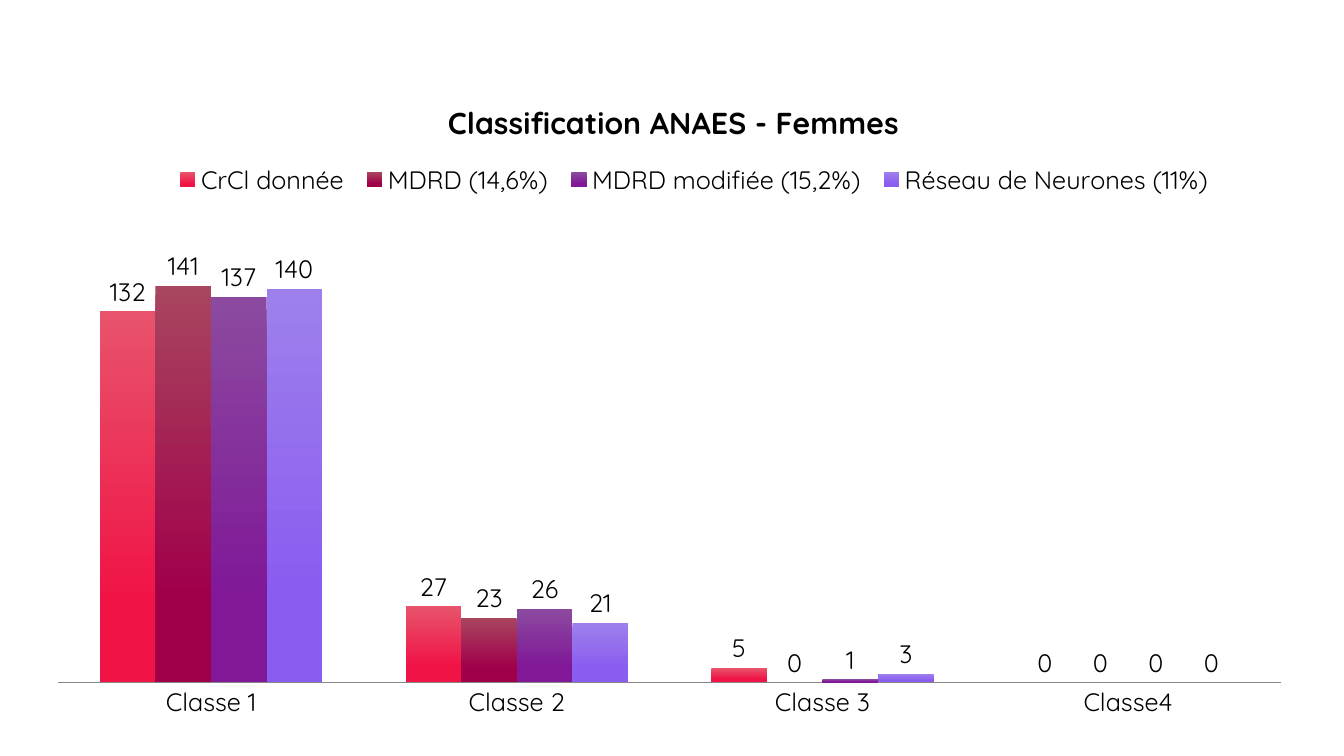
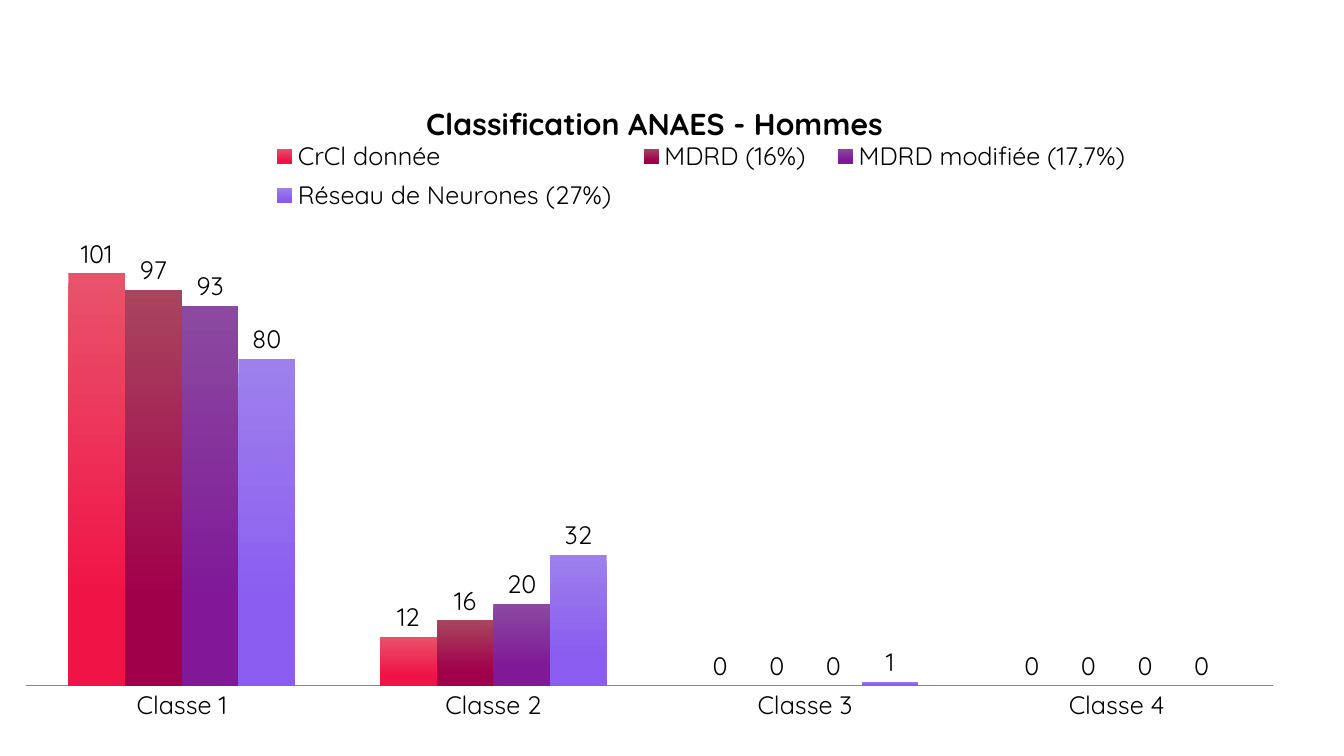
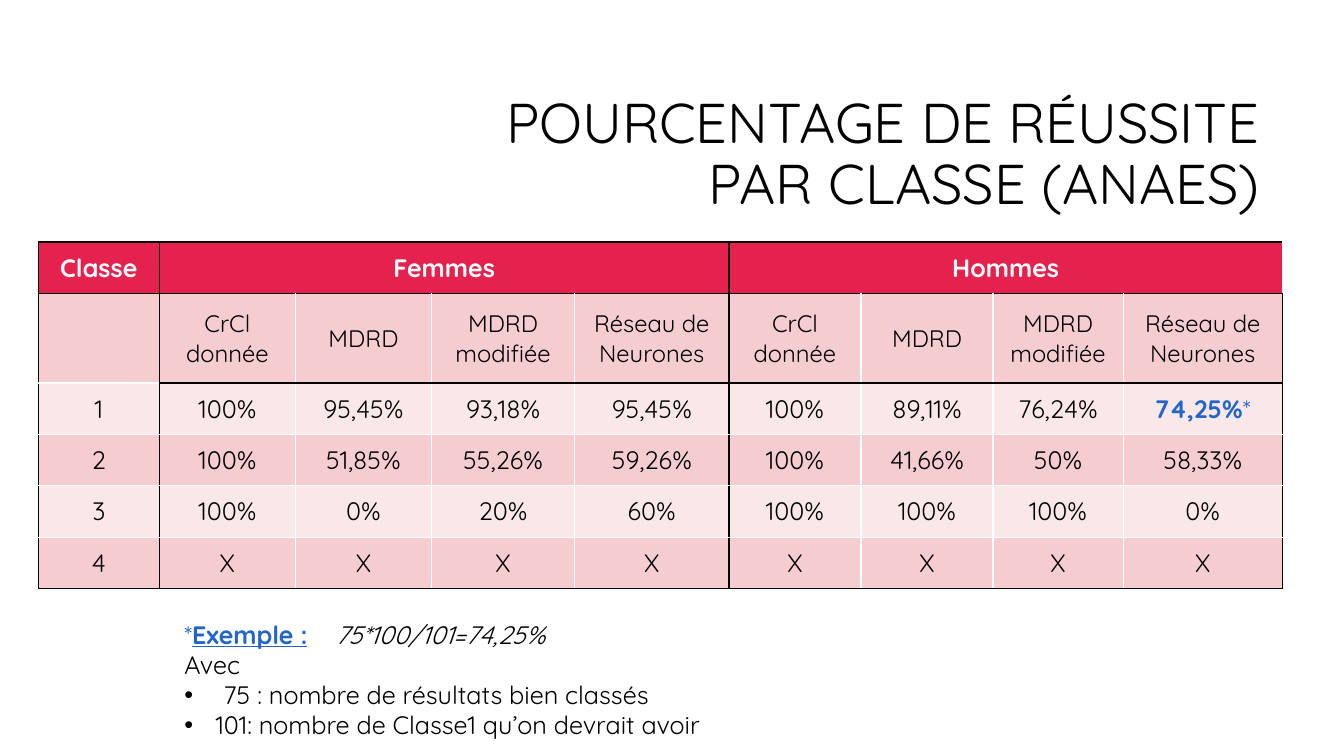
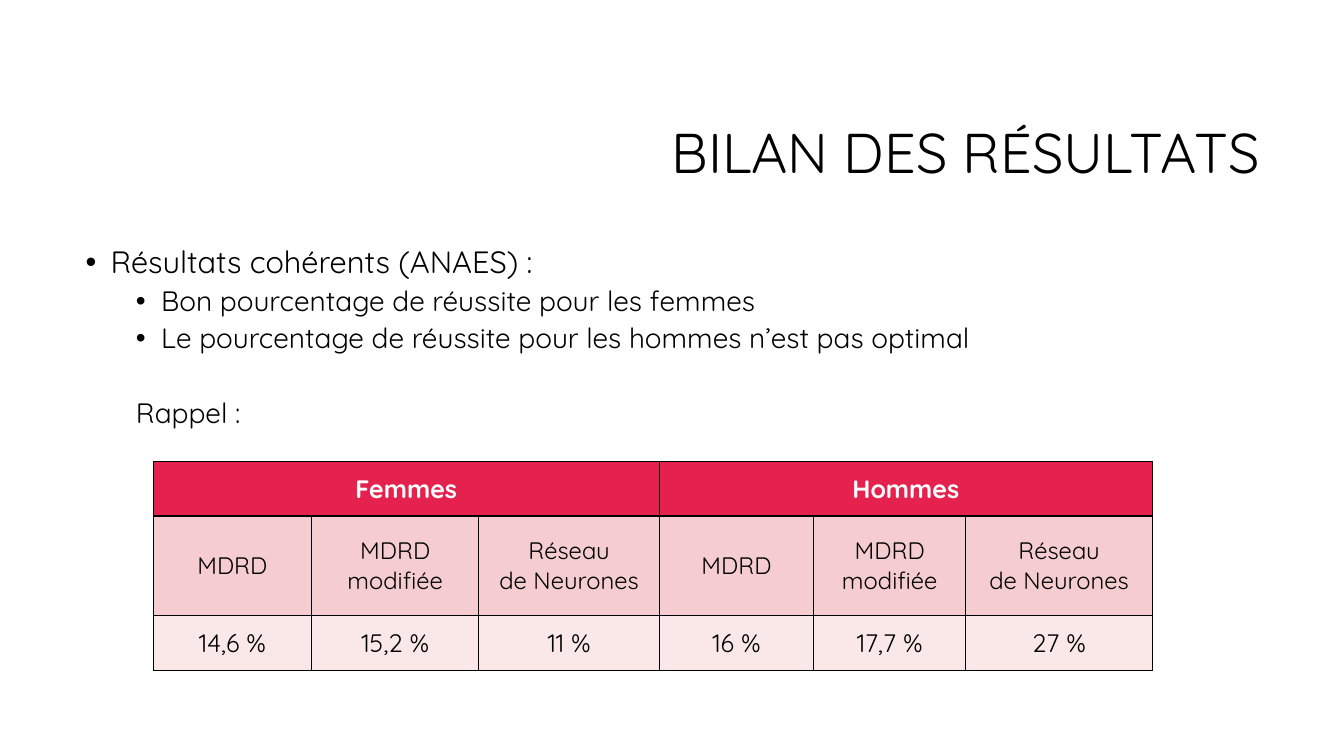
from pptx import Presentation
from pptx.chart.data import CategoryChartData
from pptx.dml.color import RGBColor
from pptx.enum.chart import XL_CHART_TYPE, XL_LABEL_POSITION, XL_LEGEND_POSITION, XL_TICK_MARK
from pptx.enum.text import MSO_ANCHOR, PP_ALIGN
from pptx.oxml import parse_xml
from pptx.oxml.ns import nsdecls, qn
from pptx.util import Inches, Pt

COLUMNS = XL_CHART_TYPE.COLUMN_CLUSTERED
ABOVE_BAR = XL_LABEL_POSITION.OUTSIDE_END
LEGEND_TOP = XL_LEGEND_POSITION.TOP
NO_TICK = XL_TICK_MARK.NONE
MIDDLE = MSO_ANCHOR.MIDDLE
CENTER, LEFT, RIGHT = PP_ALIGN.CENTER, PP_ALIGN.LEFT, PP_ALIGN.RIGHT

FONT = "Quicksand"
COLORS = {
    "text": "000000", "white": "FFFFFF", "blue": "2365C9", "axis": "868686",
    "header": "E5224E", "band_dark": "F5CDD0", "band_light": "FAE8E9",
}
# Top and bottom colour of each series
BAR_GRADIENTS = [("E8536B", "F01446"), ("A8455F", "A0004A"),
                 ("8B4A9F", "801898"), ("9D80EC", "8A5CF0")]

# Boxes inside a chart are fractions of the chart: x, y, width, height
CHARTS = [
    {
        "title": "Classification ANAES - Femmes",
        "at": (0.39, 0.61, 12.49, 6.71),
        "title_at": (0.32, 0.05), "legend_at": (0.1, 0.14, 0.84, 0.07),
        "plot_at": (0.015, 0.253, 0.971, 0.665), "max": 160,
        "categories": ["Classe 1", "Classe 2", "Classe 3", "Classe4"],
        "series": [("CrCl donnée", (132, 27, 5, 0)),
                   ("MDRD (14,6%)", (141, 23, 0, 0)),
                   ("MDRD modifiée (15,2%)", (137, 26, 1, 0)),
                   ("Réseau de Neurones (11%)", (140, 21, 3, 0))],
    },
    {
        "title": "Classification ANAES - Hommes",
        "at": (0, 0.65, 12.88, 6.63),
        "title_at": (0.324, 0.045), "legend_at": (0.195, 0.1, 0.69, 0.13),
        "plot_at": (0.02, 0.195, 0.96, 0.733), "max": 120,
        "categories": ["Classe 1", "Classe 2", "Classe 3", "Classe 4"],
        "series": [("CrCl donnée", (101, 12, 0, 0)),
                   ("MDRD (16%)", (97, 16, 0, 0)),
                   ("MDRD modifiée (17,7%)", (93, 20, 0, 0)),
                   ("Réseau de Neurones (27%)", (80, 32, 1, 0))],
    },
]

METHODS = ["CrCl donnée", "MDRD", "MDRD modifiée", "Réseau de Neurones"]
SUCCESS = {
    "at": (0.38, 2.4),
    "cols": [1.2, 1.35, 1.35, 1.42, 1.53, 1.31, 1.31, 1.29, 1.58],
    "heights": [0.51, 0.89, 0.51, 0.51, 0.51, 0.51],
    "spans": [(1, 4), (5, 8)],
    "rows": [
        ["Classe", "Femmes", "", "", "", "Hommes", "", "", ""],
        [""] + METHODS * 2,
        ["1", "100%", "95,45%", "93,18%", "95,45%", "100%", "89,11%", "76,24%", "74,25%*"],
        ["2", "100%", "51,85%", "55,26%", "59,26%", "100%", "41,66%", "50%", "58,33%"],
        ["3", "100%", "0%", "20%", "60%", "100%", "100%", "100%", "0%"],
        ["4"] + ["X"] * 8,
    ],
}
SUMMARY_METHODS = ["MDRD", "MDRD modifiée", "Réseau\nde Neurones"]
SUMMARY = {
    "at": (1.52, 4.58),
    "cols": [1.57, 1.66, 1.79, 1.53, 1.51, 1.85],
    "heights": [0.54, 0.99, 0.54],
    "spans": [(0, 2), (3, 5)],
    "rows": [
        ["Femmes", "", "", "Hommes", "", ""],
        SUMMARY_METHODS * 2,
        ["14,6 %", "15,2 %", "11 %", "16 %", "17,7 %", "27 %"],
    ],
}

# Paragraphs: runs as (text, style), then layout options
EXAMPLE = [
    ([("*", {"color": "blue"}), ("Exemple :", {"color": "blue", "bold": True, "underline": True}),
      ("\t", {}), ("75*100/101=74,25%", {"italic": True})], {"tab": 1.45}),
    ([("Avec", {})], {}),
    ([("75 : nombre de résultats bien classés", {})], {"left": 0.39, "hang": 0.39}),
    ([("101: nombre de Classe1 qu’on devrait avoir", {})], {"left": 0.31, "hang": 0.31}),
]
FINDINGS = [
    ([("Résultats cohérents (ANAES) :", {"size": 22})], {"left": 0.25, "hang": 0.25, "spacing": 0.9}),
    ([("Bon pourcentage de réussite pour les femmes", {"size": 20})],
     {"left": 0.75, "hang": 0.25, "spacing": 0.9, "before": 5}),
    ([("Le pourcentage de réussite pour les hommes n’est pas optimal", {"size": 20})],
     {"left": 0.75, "hang": 0.25, "spacing": 0.9, "before": 5}),
    ([("Rappel :", {"size": 20})], {"left": 0.5, "spacing": 0.9, "before": 32}),
]


def rgb(name):
    return RGBColor.from_string(COLORS.get(name, name))


def style(font, size=18, color="text", bold=False, italic=False, underline=False):
    font.name, font.size = FONT, Pt(size)
    font.bold, font.italic, font.underline = bold, italic, underline
    font.color.rgb = rgb(color)


def fill_paragraph(p, runs, left=0, hang=0, tab=None, spacing=None, before=0, align=LEFT):
    """Write the runs; a hanging indent brings a bullet with it."""
    pPr = p._p.get_or_add_pPr()
    pPr.set("marL", str(Inches(left)))
    pPr.set("indent", str(-Inches(hang)))
    if hang:
        pPr.append(parse_xml(f'<a:buFont {nsdecls("a")} typeface="Arial"/>'))
        pPr.append(parse_xml(f'<a:buChar {nsdecls("a")} char="•"/>'))
    if tab:
        pPr.append(parse_xml(
            f'<a:tabLst {nsdecls("a")}><a:tab pos="{Inches(tab)}" algn="l"/></a:tabLst>'))
    p.alignment, p.space_before = align, Pt(before)
    if spacing:
        p.line_spacing = spacing
    for text, look in runs:
        r = p.add_run()
        r.text = text
        style(r.font, **look)


def add_text(s, at, paragraphs, anchor=None):
    tf = s.shapes.add_textbox(*map(Inches, at)).text_frame
    tf.word_wrap = True
    if anchor is not None:
        tf.vertical_anchor = anchor
    for i, (runs, options) in enumerate(paragraphs):
        fill_paragraph(tf.add_paragraph() if i else tf.paragraphs[0], runs, **options)


def add_title(s, text):
    add_text(s, (3.17, 0.84, 9.42, 1.41),
             [([(line, {"size": 40})], {"align": RIGHT, "spacing": 0.9})
              for line in text.split("\n")], MIDDLE)


def place(part, box, inner=False):
    """Give a chart part a manual layout, as fractions of the chart."""
    for old in part.findall(qn("c:layout")):
        part.remove(old)
    target = '<c:layoutTarget val="inner"/>' if inner else ""
    names = ("x", "y", "w", "h")
    modes = "".join(f'<c:{n}Mode val="edge"/>' for n in names[:2])
    sizes = "".join(f'<c:{n} val="{v}"/>' for n, v in zip(names, box))
    layout = parse_xml(f'<c:layout {nsdecls("c")}><c:manualLayout>{target}{modes}{sizes}'
                       '</c:manualLayout></c:layout>')
    overlay = part.find(qn("c:overlay"))
    if overlay is None:
        part.insert(0, layout)
    else:
        overlay.addprevious(layout)


def add_class_chart(s, spec):
    data = CategoryChartData()
    data.categories = spec["categories"]
    for name, values in spec["series"]:
        data.add_series(name, values)
    chart = s.shapes.add_chart(COLUMNS, *map(Inches, spec["at"]), data).chart
    style(chart.font)

    chart.has_title = True
    p = chart.chart_title.text_frame.paragraphs[0]
    p.text = spec["title"]
    style(p.runs[0].font, size=21.6, bold=True)
    chart.has_legend = True
    chart.legend.position = LEGEND_TOP
    chart.legend.include_in_layout = False
    style(chart.legend.font)

    chart.value_axis.visible = False
    chart.value_axis.has_major_gridlines = False
    chart.value_axis.minimum_scale = 0
    chart.value_axis.maximum_scale = spec["max"]
    chart.category_axis.major_tick_mark = NO_TICK
    chart.category_axis.format.line.color.rgb = rgb("axis")

    plot = chart.plots[0]
    plot.gap_width, plot.overlap, plot.vary_by_categories = 150, 0, False
    plot.has_data_labels = True
    plot.data_labels.show_value = True
    plot.data_labels.position = ABOVE_BAR
    style(plot.data_labels.font)
    for series, gradient in zip(plot.series, BAR_GRADIENTS):
        series.invert_if_negative = False
        fill = series.format.fill
        fill.gradient()
        fill.gradient_angle = 270
        for stop, color, position in zip(fill.gradient_stops, gradient, (0, 0.78)):
            stop.color.rgb, stop.position = rgb(color), position

    place(chart.chart_title._element, spec["title_at"])
    place(chart.legend._element, spec["legend_at"])
    place(chart._chartSpace.find(".//" + qn("c:plotArea")), spec["plot_at"], inner=True)


def set_borders(cell, colors):
    """Colours come in the order left, right, top, bottom."""
    tcPr = cell._tc.get_or_add_tcPr()
    for i, (side, color) in enumerate(zip("LRTB", colors)):
        tcPr.insert(i, parse_xml(
            f'<a:ln{side} {nsdecls("a")} w="{Pt(1)}"><a:solidFill>'
            f'<a:srgbClr val="{COLORS[color]}"/></a:solidFill></a:ln{side}>'))


def all_dark(r, c):
    return ["text"] * 4


def grouped(r, c):
    """Dark lines around the column groups and the two header rows, white ones inside."""
    def below(row):
        return row in (0, 1, 6) or (row == 2 and c > 0)
    dark = (c in (0, 1, 5), c in (0, 4, 8), below(r), below(r + 1))
    return ["text" if d else "white" for d in dark]


def cell_runs(text, r):
    if r == 0:
        return [(text, {"color": "white", "bold": True})]
    if text.endswith("*"):
        return [(text[:-1], {"color": "blue", "bold": True}), ("*", {"color": "blue"})]
    return [(text, {"size": 17 if r == 1 else 18})]


def add_result_table(s, spec, borders):
    rows, cols, heights = spec["rows"], spec["cols"], spec["heights"]
    table = s.shapes.add_table(len(rows), len(cols), *map(Inches, spec["at"]),
                               Inches(sum(cols)), Inches(sum(heights))).table
    table.first_row = table.horz_banding = False
    for column, width in zip(table.columns, cols):
        column.width = Inches(width)
    for row, height in zip(table.rows, heights):
        row.height = Inches(height)
    for r, texts in enumerate(rows):
        band = "header" if r == 0 else ("band_dark" if r % 2 else "band_light")
        for c, text in enumerate(texts):
            cell = table.cell(r, c)
            cell.fill.solid()
            cell.fill.fore_color.rgb = rgb(band)
            cell.vertical_anchor = MIDDLE
            set_borders(cell, borders(r, c))
            if text:
                tf = cell.text_frame
                for i, line in enumerate(text.split("\n")):
                    p = tf.add_paragraph() if i else tf.paragraphs[0]
                    fill_paragraph(p, cell_runs(line, r), align=CENTER)
    for first, last in spec["spans"]:
        table.cell(0, first).merge(table.cell(0, last))


def main():
    prs = Presentation()
    prs.slide_width, prs.slide_height = Inches(13.33), Inches(7.5)
    blank = prs.slide_layouts[6]

    for spec in CHARTS:
        add_class_chart(prs.slides.add_slide(blank), spec)

    s = prs.slides.add_slide(blank)
    add_title(s, "POURCENTAGE DE RÉUSSITE\nPAR CLASSE (ANAES)")
    add_result_table(s, SUCCESS, grouped)
    add_text(s, (1.73, 6.09, 9.74, 1.35), EXAMPLE)

    s = prs.slides.add_slide(blank)
    add_title(s, "BILAN DES RÉSULTATS")
    add_text(s, (0.75, 2.4, 11.83, 2.1), FINDINGS)
    add_result_table(s, SUMMARY, all_dark)

    prs.save("out.pptx")


if __name__ == "__main__":
    main()
